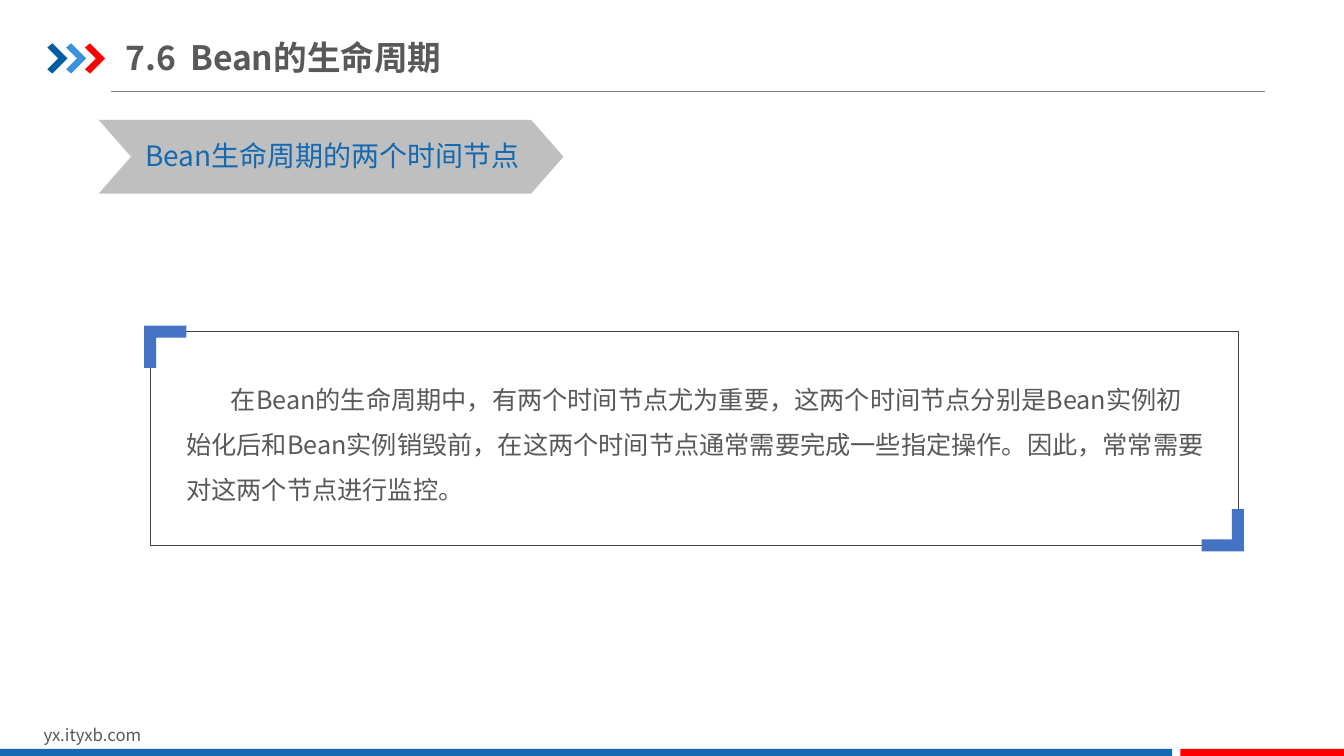
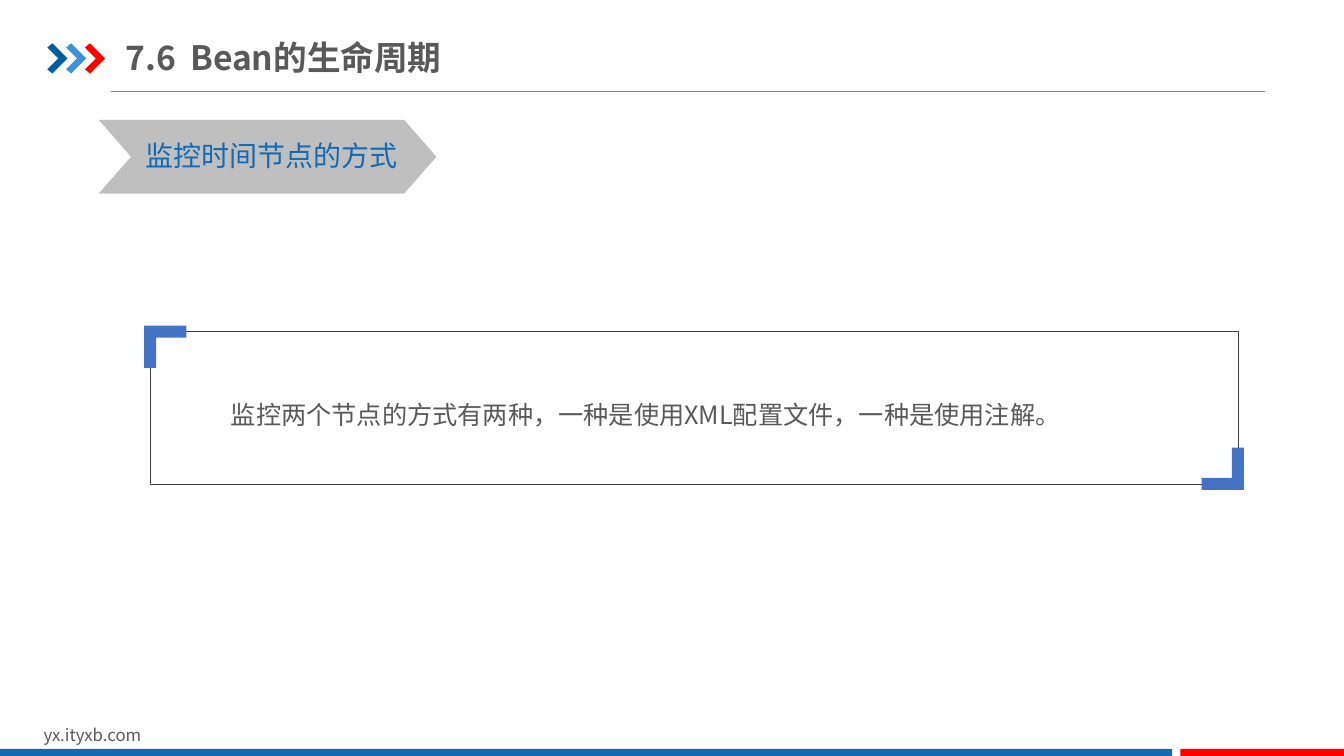
"""Build two slides on the life cycle of a bean."""
from lxml import etree
from pptx import Presentation
from pptx.dml.color import RGBColor
from pptx.enum.shapes import MSO_CONNECTOR, MSO_SHAPE
from pptx.enum.text import MSO_ANCHOR, MSO_AUTO_SIZE
from pptx.oxml.ns import qn
from pptx.util import Emu, Pt

RECT, ROUND, CHEVRON = MSO_SHAPE.RECTANGLE, MSO_SHAPE.ROUNDED_RECTANGLE, MSO_SHAPE.CHEVRON
LINE = MSO_CONNECTOR.STRAIGHT
TOP, MID = MSO_ANCHOR.TOP, MSO_ANCHOR.MIDDLE
GROW, FIXED = MSO_AUTO_SIZE.SHAPE_TO_FIT_TEXT, MSO_AUTO_SIZE.NONE

COLS, ROWS = 160, 90
CELL = 76200
FONT = "Noto Sans CJK SC"
HEX = {
    "blue": "1369B2", "navy": "005DA2", "sky": "3992DB", "red": "FF0000",
    "text": "595959", "rule": "808080", "tag": "BFBFBF",
    "frame": "404040", "mark": "4472C4",
}
ARROW = [(0, 0.5), (0.6, 0), (2.4, 1.8), (0.6, 3.6), (0, 3.1), (1.3, 1.8)]
ANGLE = [(0, 0), (5.04, 0), (5.04, 1.44), (1.44, 1.44), (1.44, 5.04), (0, 5.04)]

TITLE = "7.6\tBean的生命周期"
PAGES = [
    dict(tag="Bean生命周期的两个时间节点", wide=55.32, high=25.44, top=43.32, deep=18.12,
         body="在Bean的生命周期中，有两个时间节点尤为重要，这两个时间节点分别是Bean实例"
              "初始化后和Bean实例销毁前，在这两个时间节点通常需要完成一些指定操作。"
              "因此，常常需要对这两个节点进行监控。"),
    dict(tag="监控时间节点的方式", wide=40.2, high=18.12, top=45.12, deep=7.08,
         body="监控两个节点的方式有两种，一种是使用XML配置文件，一种是使用注解。"),
]


def cells(*nums):
    """Turn grid cells into lengths."""
    return [Emu(round(n * CELL)) for n in nums]


def color(name):
    """Look up a colour by name."""
    return RGBColor.from_string(HEX[name])


def paint(shape, fill=None, line=None, width=0.25):
    """Set the fill and outline of a shape, without shadow."""
    shape.shadow.inherit = False
    if fill:
        shape.fill.solid()
        shape.fill.fore_color.rgb = color(fill)
    else:
        shape.fill.background()
    if line:
        shape.line.color.rgb = color(line)
        shape.line.width = Pt(width)
    else:
        shape.line.fill.background()


def block(slide, kind, area, adj=None, **look):
    """Add a preset shape."""
    shape = slide.shapes.add_shape(kind, *cells(*area))
    if adj is not None:
        shape.adjustments[0] = adj
    paint(shape, **look)


def outline(slide, x, y, points, fill, sign=1):
    """Add a closed outline; a sign of -1 turns it half round."""
    spots = [cells(x + sign * px, y + sign * py) for px, py in points]
    form = slide.shapes.build_freeform(*spots[0], scale=1.0)
    form.add_line_segments(spots[1:], close=True)
    paint(form.convert_to_shape(), fill)


def rule(slide, left, right, y):
    """Add a thin level line."""
    line = slide.shapes.add_connector(LINE, *cells(left, y, right, y))
    line.line.color.rgb = color("rule")
    line.line.width = Pt(0.5)
    etree.SubElement(line._element.spPr, qn("a:effectLst"))


def write(slide, text, area, size, tone="text", bold=False, wrap=True, fit=FIXED,
          anchor=TOP, pad=(1.2, 0.6), space=None, indent=0, tab=0):
    """Add a text box in the given format."""
    frame = slide.shapes.add_textbox(*cells(*area)).text_frame
    frame.word_wrap, frame.auto_size, frame.vertical_anchor = wrap, fit, anchor
    frame.margin_left, frame.margin_top = frame.margin_right, frame.margin_bottom = cells(*pad)
    para = frame.paragraphs[0]
    props = para._p.get_or_add_pPr()
    if indent:
        props.set("indent", str(round(indent * CELL)))
    if tab:
        stops = etree.SubElement(props, qn("a:tabLst"))
        etree.SubElement(stops, qn("a:tab"), pos=str(round(tab * CELL)), algn="l")
    if space:
        para.line_spacing = space
    run = para.add_run()
    run.text = text
    font = run.font
    font.name, font.size, font.bold = FONT, Pt(size), bold
    font.color.rgb = color(tone)
    etree.SubElement(run._r.get_or_add_rPr(), qn("a:ea"), typeface=FONT)


def base(slide):
    """Add the title, rule, arrows and footer that slides share."""
    rule(slide, 13.2, 150.6, 10.92)
    for step, tone in enumerate(("navy", "sky", "red")):
        outline(slide, 5.64 + 2.24 * step, 5.16, ARROW, tone)
    write(slide, "yx.ityxb.com", (4, 85.7, 38, 3.6), 12, fit=GROW)
    for left, right, tone in ((0, 139.56, "blue"), (140.52, COLS, "red")):
        block(slide, RECT, (left, 89.16, right - left, ROWS - 89.16), fill=tone)
    write(slide, TITLE, (15, 3.48, 43.68, 6.6), 24, bold=True, anchor=MID,
          pad=(0, 0.84), tab=7.65)


def label(slide, text, wide):
    """Add the arrow band with its heading."""
    block(slide, CHEVRON, (11.76, 14.28, wide, 8.76), adj=0.438, fill="tag")
    write(slide, text, (16.08, 15.96, wide - 6.72, 5.28), 20, "blue", wrap=False, fit=GROW)


def panel(slide, text, high, top, deep):
    """Add the framed text with two corner marks."""
    left, head, wide, out = 17.88, 39.48, 129.48, 0.72
    write(slide, text, (21, top, 123.6, deep), 18, space=1.5, indent=5.3)
    block(slide, ROUND, (left, head, wide, high), adj=0, line="frame")
    outline(slide, left - out, head - out, ANGLE, "mark")
    outline(slide, left + wide + out, head + high + out, ANGLE, "mark", sign=-1)


def main():
    """Build and save the deck."""
    deck = Presentation()
    deck.slide_width, deck.slide_height = cells(COLS, ROWS)
    for page in PAGES:
        slide = deck.slides.add_slide(deck.slide_layouts[6])
        base(slide)
        label(slide, page["tag"], page["wide"])
        panel(slide, page["body"], page["high"], page["top"], page["deep"])
    deck.save("out.pptx")


if __name__ == "__main__":
    main()
